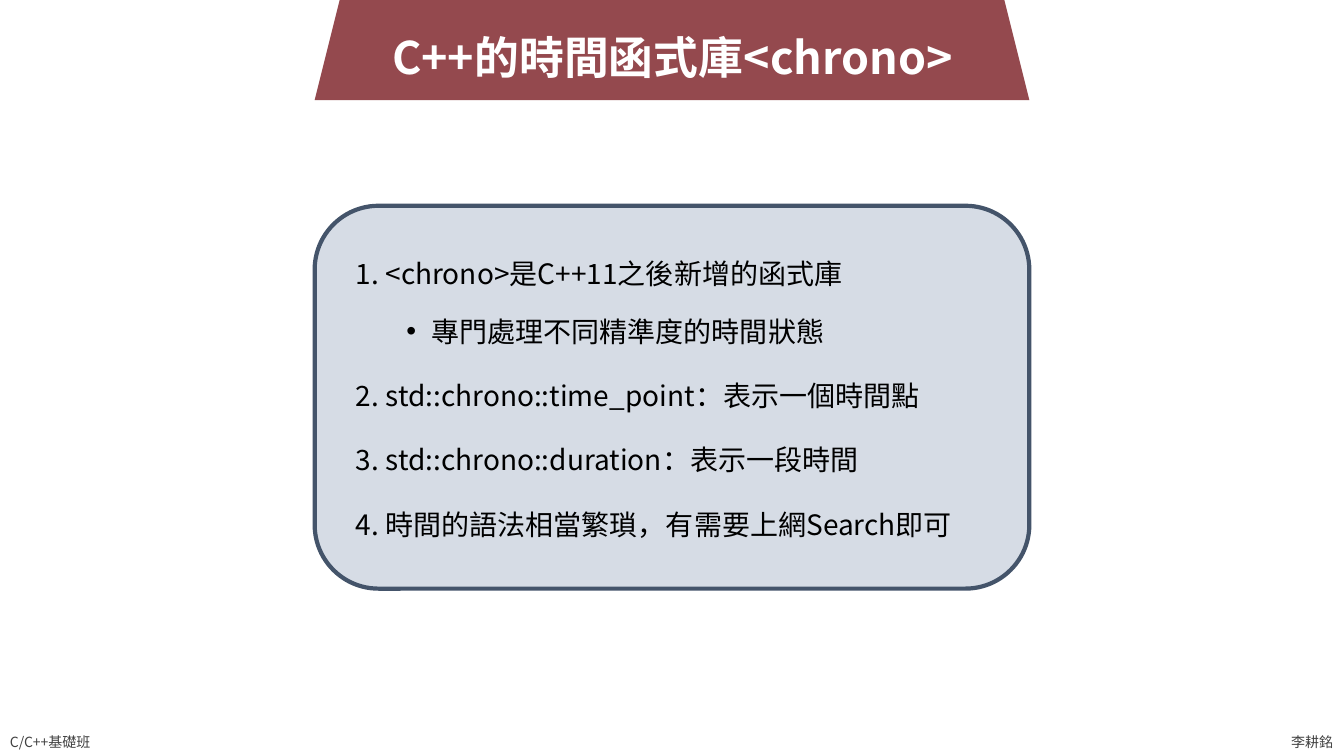
from dataclasses import dataclass

from lxml import etree
from pptx import Presentation
from pptx.dml.color import RGBColor
from pptx.enum import shapes, text
from pptx.oxml import ns
from pptx.util import Pt

FONT = "Noto Sans CJK TC"
WHITE = RGBColor(0xFF, 0xFF, 0xFF)
BLACK = RGBColor(0x00, 0x00, 0x00)
GREY = RGBColor(0x40, 0x40, 0x40)
RED = RGBColor(0x94, 0x49, 0x4E)
SLATE = RGBColor(0x44, 0x54, 0x6A)
PALE = RGBColor(0xD6, 0xDC, 0xE5)
PAGE_WIDTH, PAGE_HEIGHT = 960, 540
PANEL_WIDTH = 510.5
PANEL_LEFT = (PAGE_WIDTH - PANEL_WIDTH) / 2


@dataclass(frozen=True)
class Area:
    left: float
    top: float
    width: float
    height: float

    def lengths(self) -> tuple:
        return Pt(self.left), Pt(self.top), Pt(self.width), Pt(self.height)


@dataclass(frozen=True)
class Panel:
    preset: shapes.MSO_SHAPE
    area: Area
    fill: RGBColor
    line: RGBColor | None = None


@dataclass(frozen=True)
class Footer:
    words: str
    area: Area


@dataclass(frozen=True)
class Item:
    words: str
    level: int = 0


PANELS = [
    Panel(shapes.MSO_SHAPE.ROUNDED_RECTANGLE, Area(PANEL_LEFT, 147, PANEL_WIDTH, 273.5), PALE, SLATE),
    Panel(shapes.MSO_SHAPE.TRAPEZOID, Area(PANEL_LEFT, -16.5, PANEL_WIDTH, 88), RED),
]
FOOTERS = [
    Footer("C/C++基礎班", Area(0, 520.6, 77, 19.4)),
    Footer("李耕銘", Area(915.2, 520.6, 44.8, 19.4)),
]
TITLE_AREA = Area(261.4, 17.3, 437.8, 46)
LIST_AREA = Area(247, 167.8, 466.6, 239.8)
ITEMS = [
    Item("1. <chrono>是C++11之後新增的函式庫"),
    Item("專門處理不同精準度的時間狀態", level=1),
    Item("2. std::chrono::time_point：表示一個時間點"),
    Item("3. std::chrono::duration：表示一段時間"),
    Item("4. 時間的語法相當繁瑣，有需要上網Search即可"),
]


def add_span(para, words: str, size: float, color: RGBColor, bold: bool = False) -> None:
    span = para.add_run()
    span.text = words
    span.font.name = FONT
    span.font.size = Pt(size)
    span.font.bold = bold
    span.font.color.rgb = color
    east_asian = etree.SubElement(span.font._element, ns.qn("a:ea"))
    east_asian.set("typeface", FONT)


def set_bullet(para, level: int) -> None:
    props = para._p.get_or_add_pPr()
    props.set("marL", str(Pt(54 * level)))
    props.set("indent", str(Pt(-18 * level)))
    if level:
        font = etree.SubElement(props, ns.qn("a:buFont"))
        font.set("typeface", "Arial")
        etree.SubElement(props, ns.qn("a:buChar")).set("char", "•")
    else:
        etree.SubElement(props, ns.qn("a:buNone"))


def place(page, box, area: Area) -> None:
    """Move a placeholder to its area and in front of the panels."""
    box.left, box.top, box.width, box.height = area.lengths()
    page.shapes._spTree.append(box._element)
    box.text_frame.auto_size = text.MSO_AUTO_SIZE.NONE


def add_panel(page, panel: Panel) -> None:
    shape = page.shapes.add_shape(panel.preset, *panel.area.lengths())
    shape.shadow.inherit = False
    shape.fill.solid()
    shape.fill.fore_color.rgb = panel.fill
    if panel.line is None:
        shape.line.fill.background()
    else:
        shape.line.color.rgb = panel.line
        shape.line.width = Pt(3)


def add_footer(page, footer: Footer) -> None:
    box = page.shapes.add_textbox(*footer.area.lengths())
    box.text_frame.word_wrap = False
    add_span(box.text_frame.paragraphs[0], footer.words, 10, GREY)


def fill_title(page) -> None:
    box = page.shapes.title
    place(page, box, TITLE_AREA)
    box.text_frame.word_wrap = False
    box.text_frame.vertical_anchor = text.MSO_ANCHOR.TOP
    para = box.text_frame.paragraphs[0]
    para.alignment = text.PP_ALIGN.CENTER
    add_span(para, "C++的時間函式庫<chrono>", 32, WHITE, bold=True)


def fill_list(page) -> None:
    box = page.placeholders[1]
    place(page, box, LIST_AREA)
    frame = box.text_frame
    for index, item in enumerate(ITEMS):
        para = frame.add_paragraph() if index else frame.paragraphs[0]
        para.level = item.level
        para.line_spacing = 1.5
        para.space_before = Pt(5 if item.level else 10)
        set_bullet(para, item.level)
        add_span(para, item.words, 20, BLACK)


deck = Presentation()
deck.slide_width, deck.slide_height = Pt(PAGE_WIDTH), Pt(PAGE_HEIGHT)
page = deck.slides.add_slide(deck.slide_layouts[1])

# Panels and footers
for panel in PANELS:
    add_panel(page, panel)
for footer in FOOTERS:
    add_footer(page, footer)

# Title and list
fill_title(page)
fill_list(page)

deck.save("out.pptx")
